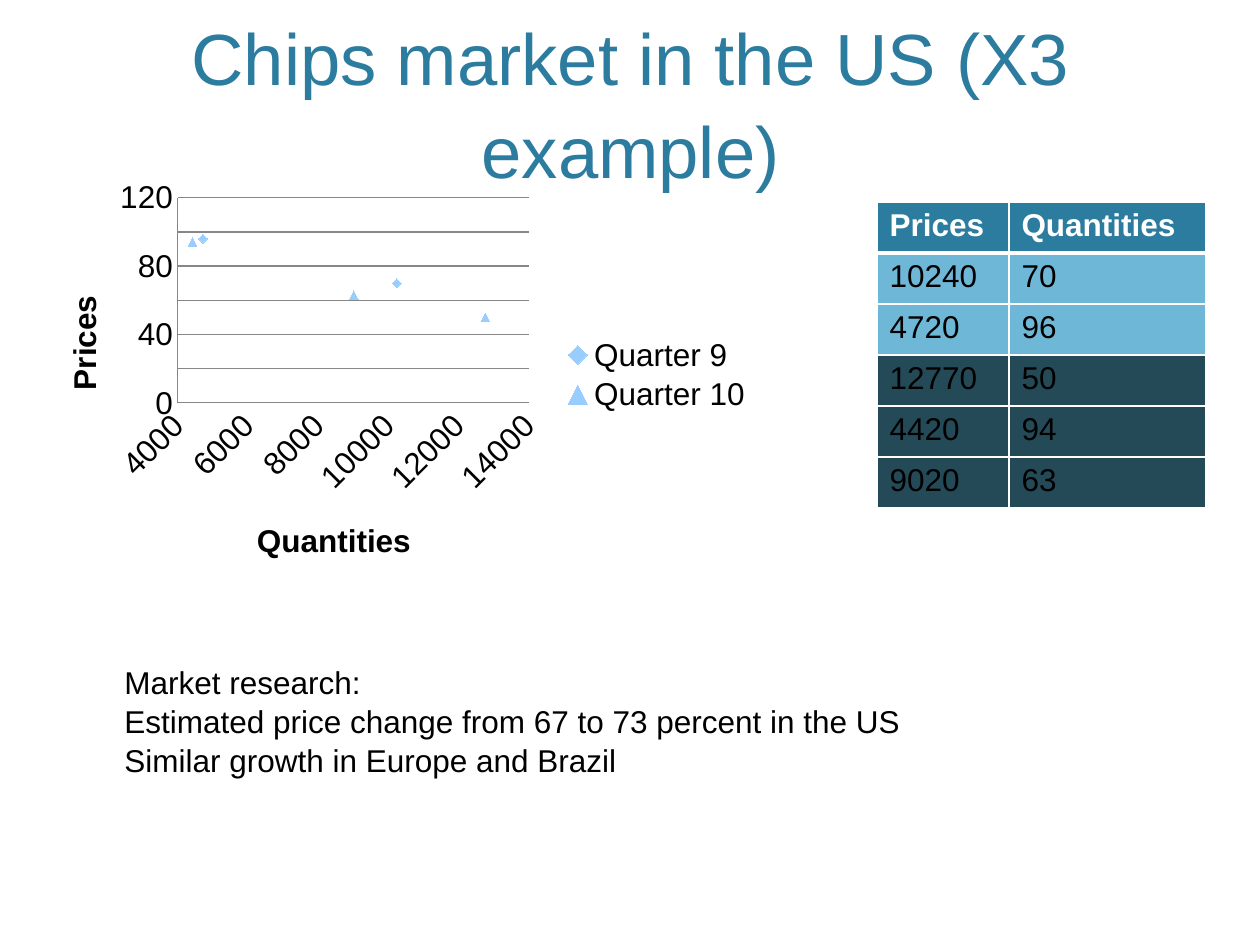
from lxml import etree
from pptx import Presentation
from pptx import util as u
from pptx.chart.data import XyChartData
from pptx.dml.color import RGBColor
from pptx.enum import chart as charts, text
from pptx.oxml import parse_xml
from pptx.oxml.ns import qn, nsdecls

PIXEL = 914400 // 126
FONT = "Arial"
BLACK = RGBColor(0, 0, 0)
WHITE = RGBColor(255, 255, 255)
TEAL = RGBColor(0x2C, 0x7C, 0x9F)
LIGHT_BLUE = RGBColor(0x6F, 0xB7, 0xD7)
DARK_TEAL = RGBColor(0x24, 0x4A, 0x58)
MARKER_BLUE = RGBColor(0x99, 0xCC, 0xFF)
GRAY = RGBColor(0x87, 0x87, 0x87)

QUANTITIES = [10240, 4720, 12770, 4420, 9020]
PRICES = [70, 96, 50, 94, 63]
QUARTER_9_COUNT = 2
CHART_BOX = (24, 171, 750, 407)


def px(*lengths):
    return [u.Emu(length * PIXEL) for length in lengths]


def format_font(font, size=18, color=BLACK, bold=False):
    font.name = FONT
    font.size = u.Pt(size)
    font.bold = bold
    font.color.rgb = color


def write_text(frame, lines, align=text.PP_ALIGN.LEFT, spacing=None, **font):
    for index, line in enumerate(lines):
        paragraph = frame.add_paragraph() if index else frame.paragraphs[0]
        paragraph.alignment = align
        paragraph.line_spacing = spacing
        run = paragraph.add_run()
        run.text = line
        format_font(run.font, **font)


def add_title(slide):
    title = slide.shapes.title
    title.left, title.top, title.width, title.height = px(76, 15, 1109, 184)
    frame = title.text_frame
    frame.auto_size = text.MSO_AUTO_SIZE.NONE
    frame.vertical_anchor = text.MSO_ANCHOR.BOTTOM
    write_text(frame, ["Chips market in the US (X3 example)"],
               align=text.PP_ALIGN.CENTER, spacing=1.06, size=41.4, color=TEAL)


def add_notes_box(slide):
    box = slide.shapes.add_textbox(*px(112, 655, 891, 165))
    box.text_frame.word_wrap = True
    write_text(box.text_frame, [
        "Market research:",
        "Estimated price change from 67 to 73 percent in the US",
        "Similar growth in Europe and Brazil",
    ], spacing=1.04)


def place_in_chart(element, index, left, top, width=None, height=None):
    for old in element.findall(qn("c:layout")):
        element.remove(old)
    chart_left, chart_top, chart_width, chart_height = CHART_BOX
    layout = parse_xml(f"<c:layout {nsdecls('c')}><c:manualLayout/></c:layout>")
    settings = [("xMode", "edge"), ("yMode", "edge"),
                ("x", round((left - chart_left) / chart_width, 3)),
                ("y", round((top - chart_top) / chart_height, 3))]
    if width:
        settings += [("w", round(width / chart_width, 3)),
                     ("h", round(height / chart_height, 3))]
    if index == 0:
        settings.insert(0, ("layoutTarget", "inner"))
    for name, value in settings:
        etree.SubElement(layout[0], qn(f"c:{name}")).set("val", str(value))
    element.insert(index, layout)


def format_axis(axis, name, low, high, step, title_at):
    axis.minimum_scale, axis.maximum_scale, axis.major_unit = low, high, step
    axis.major_tick_mark = axis.minor_tick_mark = charts.XL_TICK_MARK.NONE
    axis.format.line.color.rgb = GRAY
    format_font(axis.tick_labels.font)
    write_text(axis.axis_title.text_frame, [name],
               align=text.PP_ALIGN.CENTER, bold=True)
    place_in_chart(axis.axis_title._element, 1, *title_at)


def add_scatter(slide):
    data = XyChartData()
    quarters = [("Quarter 9", range(QUARTER_9_COUNT)),
                ("Quarter 10", range(QUARTER_9_COUNT, len(PRICES)))]
    for name, shown in quarters:
        series = data.add_series(name)
        for index, (quantity, price) in enumerate(zip(QUANTITIES, PRICES)):
            series.add_data_point(quantity, price if index in shown else None)
    chart = slide.shapes.add_chart(
        charts.XL_CHART_TYPE.XY_SCATTER, *px(*CHART_BOX), data).chart
    chart.has_title = False
    format_font(chart.font)
    chart.has_legend = True
    chart.legend.position = charts.XL_LEGEND_POSITION.RIGHT
    chart.legend.include_in_layout = False
    format_font(chart.legend.font)
    place_in_chart(chart.legend._element, 1, 562, 333, 190, 84)

    horizontal, vertical = chart.category_axis, chart.value_axis
    format_axis(horizontal, "Quantities", 4000, 14000, 2000, (251, 514))
    format_axis(vertical, "Prices", 0, 120, 20, (58, 290))
    horizontal.has_major_gridlines = False
    vertical.has_major_gridlines = True
    vertical.major_gridlines.format.line.color.rgb = GRAY
    horizontal._element.find(qn("c:txPr")).find(qn("a:bodyPr")).set("rot", "-2700000")
    plot = chart.plots[0]
    place_in_chart(plot._element.getparent(), 0, 178, 198, 351, 205)
    plot.vary_by_categories = False

    styles = [charts.XL_MARKER_STYLE.DIAMOND, charts.XL_MARKER_STYLE.TRIANGLE]
    for series, style in zip(plot.series, styles):
        series.format.line.fill.background()
        series.marker.style = style
        series.marker.size = 5
        series.marker.format.fill.solid()
        series.marker.format.fill.fore_color.rgb = MARKER_BLUE
        series.marker.format.line.fill.background()
        for point in list(series._element.find(qn("c:yVal")).iter(qn("c:pt"))):
            if point.find(qn("c:v")).text in (None, "", "None"):
                point.getparent().remove(point)


def set_borders(cell, bottom):
    properties = cell._tc.get_or_add_tcPr()
    for index, (side, points) in enumerate(
            [("L", 1), ("R", 1), ("T", 1), ("B", bottom)]):
        properties.insert(index, parse_xml(
            f'<a:ln{side} {nsdecls("a")} w="{u.Pt(points)}"><a:solidFill>'
            f'<a:srgbClr val="{WHITE}"/></a:solidFill></a:ln{side}>'))


def add_price_table(slide):
    rows = [("Prices", "Quantities"), *zip(QUANTITIES, PRICES)]
    table = slide.shapes.add_table(
        len(rows), 2, *px(877, 202, 329, 51 * len(rows))).table
    for column, width in zip(table.columns, px(132, 197)):
        column.width = width
    for row_index, row in enumerate(rows):
        header = row_index == 0
        fill = TEAL if header else (
            LIGHT_BLUE if row_index <= QUARTER_9_COUNT else DARK_TEAL)
        for column_index, value in enumerate(row):
            cell = table.cell(row_index, column_index)
            cell.fill.solid()
            cell.fill.fore_color.rgb = fill
            set_borders(cell, bottom=3 if header else 1)
            write_text(cell.text_frame, [str(value)], bold=header,
                       color=WHITE if header else BLACK)


def main():
    presentation = Presentation()
    presentation.slide_width, presentation.slide_height = px(1260, 945)
    slide = presentation.slides.add_slide(presentation.slide_layouts[5])
    add_title(slide)
    add_scatter(slide)
    add_price_table(slide)
    add_notes_box(slide)
    presentation.save("out.pptx")


main()
